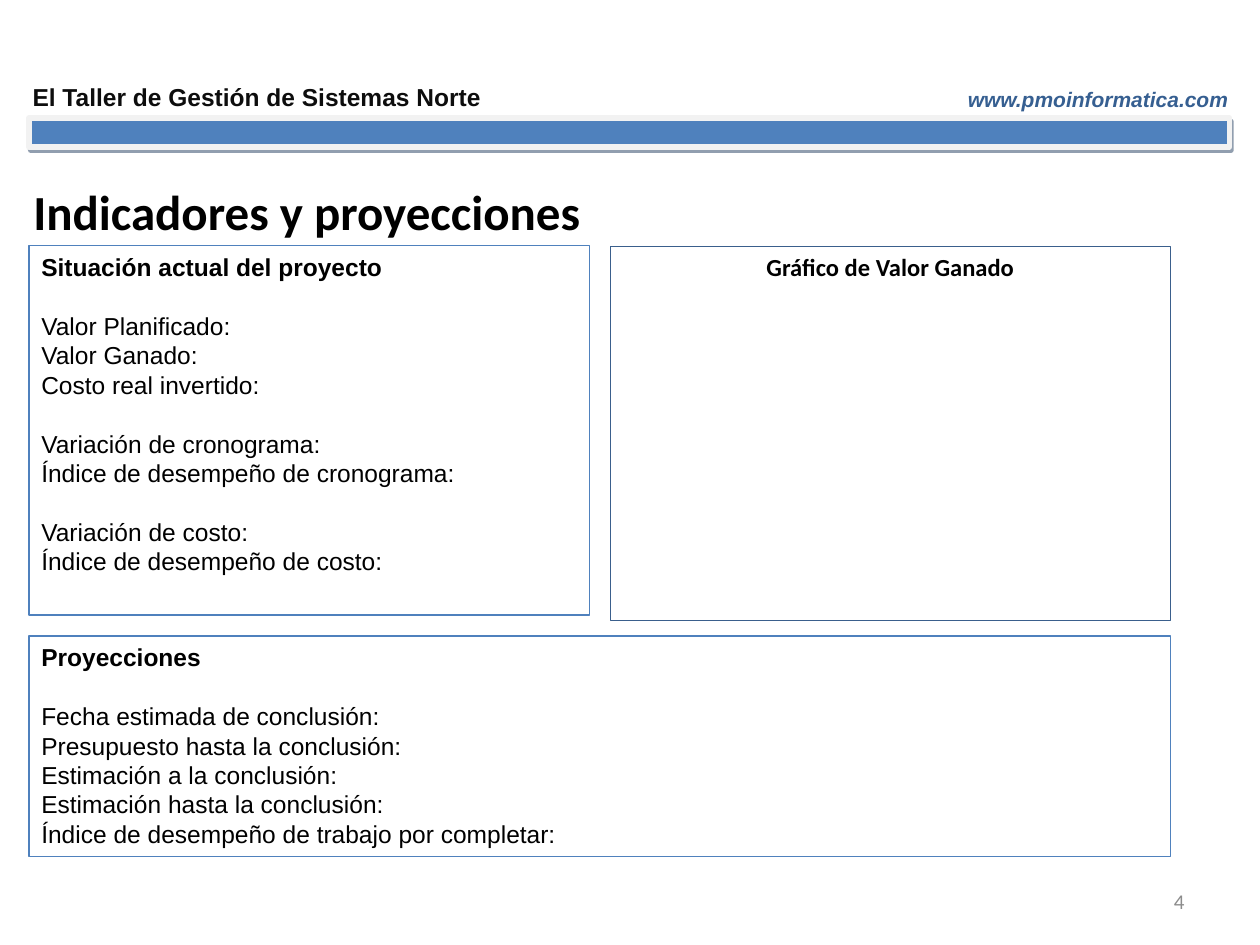
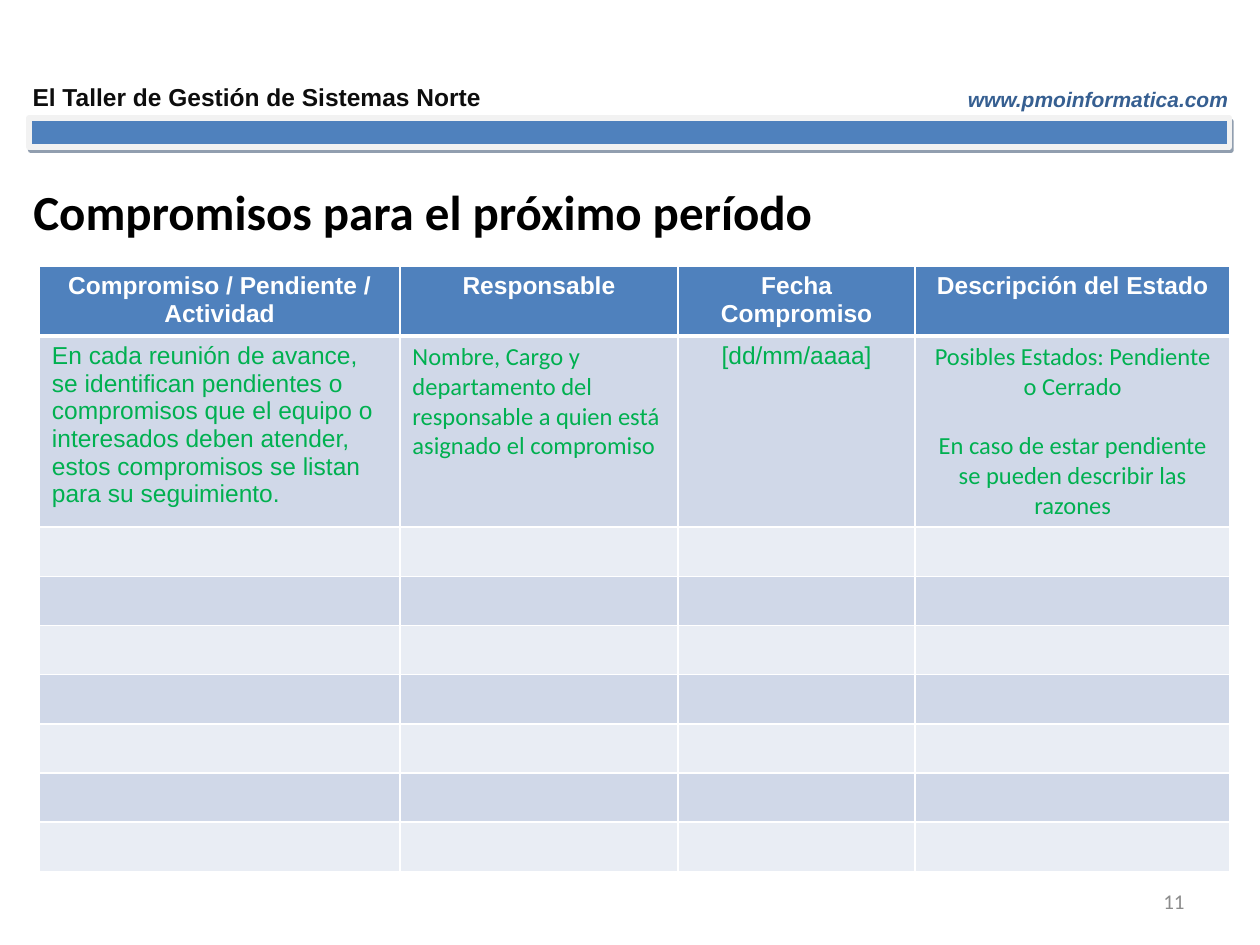
from dataclasses import dataclass

from lxml import etree
from pptx import Presentation
from pptx.dml.color import RGBColor
from pptx.enum import shapes, text
from pptx.oxml import ns
from pptx.util import Pt

LEFT, CENTER, RIGHT = text.PP_ALIGN.LEFT, text.PP_ALIGN.CENTER, text.PP_ALIGN.RIGHT


@dataclass(frozen=True)
class Theme:
    blue: str = "4F81BD"
    dark_blue: str = "3A5F8C"
    link_blue: str = "365F91"
    shadow: str = "243F60"
    frame: str = "F2F2F2"
    black: str = "000000"
    soft_black: str = "0D0D0D"
    gray: str = "8C8C8C"
    green: str = "00B050"
    white: str = "FFFFFF"
    row_dark: str = "D0D8E8"
    row_light: str = "E9EDF4"
    body_font: str = "Arial"
    title_font: str = "Calibri"
    title_size: float = 28
    body_size: float = 14
    small_size: float = 12
    panel_spacing: float = 16.8
    cell_spacing: float = 15.8
    note_spacing: float = 17


class Deck:
    """Holds the style and the slide being built."""

    def __init__(self, theme):
        self.theme = theme
        self.presentation = Presentation()
        self.presentation.slide_width = Pt(720)
        self.presentation.slide_height = Pt(540)
        self.slide = None

    # Text
    def add_run(self, paragraph, words, size=None, color=None, font=None,
                bold=False, italic=False):
        run = paragraph.add_run()
        run.text = words
        run.font.name = font or self.theme.body_font
        run.font.size = Pt(size or self.theme.body_size)
        run.font.bold = bold
        run.font.italic = italic
        run.font.color.rgb = RGBColor.from_string(color or self.theme.black)

    def add_paragraph(self, frame, words, align=LEFT, spacing=None, before=0, **style):
        first = not frame.paragraphs[0].runs
        paragraph = frame.paragraphs[0] if first else frame.add_paragraph()
        paragraph.alignment = align
        if spacing:
            paragraph.line_spacing = Pt(spacing)
        if before:
            paragraph.space_before = Pt(before)
        self.add_run(paragraph, words, **style)

    def add_label(self, box, words, align=LEFT, **style):
        shape = self.slide.shapes.add_textbox(*map(Pt, box))
        frame = shape.text_frame
        frame.word_wrap = True
        frame.vertical_anchor = text.MSO_ANCHOR.MIDDLE
        self.add_paragraph(frame, words, align, **style)

    # Rectangles
    def add_rectangle(self, box, line, width, fill=None):
        shape = self.slide.shapes.add_shape(shapes.MSO_SHAPE.RECTANGLE, *map(Pt, box))
        shape.shadow.inherit = False
        if fill:
            shape.fill.solid()
            shape.fill.fore_color.rgb = RGBColor.from_string(fill)
        else:
            shape.fill.background()
        shape.line.color.rgb = RGBColor.from_string(line)
        shape.line.width = Pt(width)
        return shape

    def add_shadow(self, shape, distance, degrees, opacity):
        effects = shape.element.spPr.find(ns.qn("a:effectLst"))
        shadow = etree.SubElement(effects, ns.qn("a:outerShdw"), blurRad="0",
                                  dist=str(Pt(distance)), dir=str(degrees * 60000),
                                  algn="ctr", rotWithShape="0")
        color = etree.SubElement(shadow, ns.qn("a:srgbClr"), val=self.theme.shadow)
        etree.SubElement(color, ns.qn("a:alpha"), val=str(opacity * 1000))

    def add_panel(self, box, heading, groups=(), align=LEFT, font=None,
                  line=None, width=0.75):
        """A framed panel: bold heading, then groups of lines one line apart."""
        frame = self.add_rectangle(box, line or self.theme.blue, width).text_frame
        frame.word_wrap = True
        frame.vertical_anchor = text.MSO_ANCHOR.TOP
        spacing = self.theme.panel_spacing
        self.add_paragraph(frame, heading, align, spacing, font=font, bold=True)
        for group in groups:
            for index, words in enumerate(group):
                self.add_paragraph(frame, words, align, spacing,
                                   before=0 if index else spacing)

    # Tables
    def style_cell(self, cell, fill, bottom=1):
        properties = cell._tc.get_or_add_tcPr()
        for side, width in (("L", 1), ("R", 1), ("T", 1), ("B", bottom)):
            border = etree.SubElement(properties, ns.qn(f"a:ln{side}"), w=str(Pt(width)))
            solid = etree.SubElement(border, ns.qn("a:solidFill"))
            etree.SubElement(solid, ns.qn("a:srgbClr"), val=self.theme.white)
        cell.fill.solid()
        cell.fill.fore_color.rgb = RGBColor.from_string(fill)

    def add_table(self, left, top, widths, heights, headers, notes):
        theme = self.theme
        table = self.slide.shapes.add_table(
            len(heights), len(widths), Pt(left), Pt(top),
            Pt(sum(widths)), Pt(sum(heights))).table
        for column, width in zip(table.columns, widths):
            column.width = Pt(width)
        for index, (row, height) in enumerate(zip(table.rows, heights)):
            row.height = Pt(height)
            band = theme.row_dark if index % 2 else theme.row_light
            for cell in row.cells:
                self.style_cell(cell, band if index else theme.blue,
                                bottom=1 if index else 3)
                if index > 1:
                    paragraph = cell.text_frame.paragraphs[0]
                    etree.SubElement(paragraph._p, ns.qn("a:endParaRPr"),
                                     sz=str(theme.body_size * 100))
        for column, words in enumerate(headers):
            self.add_paragraph(table.cell(0, column).text_frame, words, CENTER,
                               theme.cell_spacing, color=theme.white, bold=True)
        for column, (align, font, lines) in enumerate(notes):
            spacing = (theme.cell_spacing if font == theme.body_font
                       else theme.note_spacing)
            for index, words in enumerate(lines):
                self.add_paragraph(table.cell(1, column).text_frame, words, align,
                                   spacing, before=spacing if index else 0,
                                   font=font, color=theme.green)

    # Shared parts of every slide
    def start_slide(self, title, number):
        theme = self.theme
        self.slide = self.presentation.slides.add_slide(
            self.presentation.slide_layouts[6])
        band = self.add_rectangle((16.5, 67.5, 686, 16.5), theme.frame, 3, theme.blue)
        self.add_shadow(band, 2.2, 63, 50)
        self.add_label((11.5, 43, 281.5, 24.5), "El Taller de Gestión de Sistemas Norte",
                       color=theme.soft_black, bold=True)
        self.add_label((517.5, 46, 191.5, 21.5), "www.pmoinformatica.com", RIGHT,
                       size=theme.small_size, color=theme.link_blue,
                       bold=True, italic=True)
        self.add_label((12, 106.5, 612, 28), title, size=theme.title_size,
                       font=theme.title_font, bold=True)
        self.add_label((516, 500.5, 168, 28.5), str(number), RIGHT,
                       size=theme.small_size, color=theme.gray, font=theme.title_font)


def build_indicators(deck):
    theme = deck.theme
    deck.start_slide("Indicadores y proyecciones", 4)
    left, top, width = 16.5, 140.5, 320.5
    chart_left = 348.5
    deck.add_panel((left, top, width, 211), "Situación actual del proyecto", [
        ["Valor Planificado:", "Valor Ganado:", "Costo real invertido:"],
        ["Variación de cronograma:", "Índice de desempeño de cronograma:"],
        ["Variación de costo:", "Índice de desempeño de costo:"],
    ])
    deck.add_panel((left, 363.5, chart_left + width - left, 126), "Proyecciones", [
        ["Fecha estimada de conclusión:", "Presupuesto hasta la conclusión:",
         "Estimación a la conclusión:", "Estimación hasta la conclusión:",
         "Índice de desempeño de trabajo por completar:"],
    ])
    deck.add_panel((chart_left, top, width, 214), "Gráfico de Valor Ganado",
                   align=CENTER, font=theme.title_font,
                   line=theme.dark_blue, width=0.25)


def build_commitments(deck):
    theme = deck.theme
    deck.start_slide("Compromisos para el próximo período", 11)
    headers = ["Compromiso / Pendiente / Actividad", "Responsable",
               "Fecha Compromiso", "Descripción del Estado"]
    notes = [
        (LEFT, theme.body_font,
         ["En cada reunión de avance, se identifican pendientes o compromisos que el "
          "equipo o interesados deben atender, estos compromisos se listan para su "
          "seguimiento."]),
        (LEFT, theme.title_font,
         ["Nombre, Cargo y departamento del responsable a quien está asignado el "
          "compromiso"]),
        (CENTER, theme.body_font, ["[dd/mm/aaaa]"]),
        (CENTER, theme.title_font,
         ["Posibles Estados: Pendiente o Cerrado",
          "En caso de estar pendiente se pueden describir las razones"]),
    ]
    deck.add_table(22.5, 152, [206, 159, 135.5, 180], [40, 108.5] + [28.1] * 7,
                   headers, notes)


def main():
    deck = Deck(Theme())
    build_indicators(deck)
    build_commitments(deck)
    deck.presentation.save("out.pptx")


if __name__ == "__main__":
    main()
